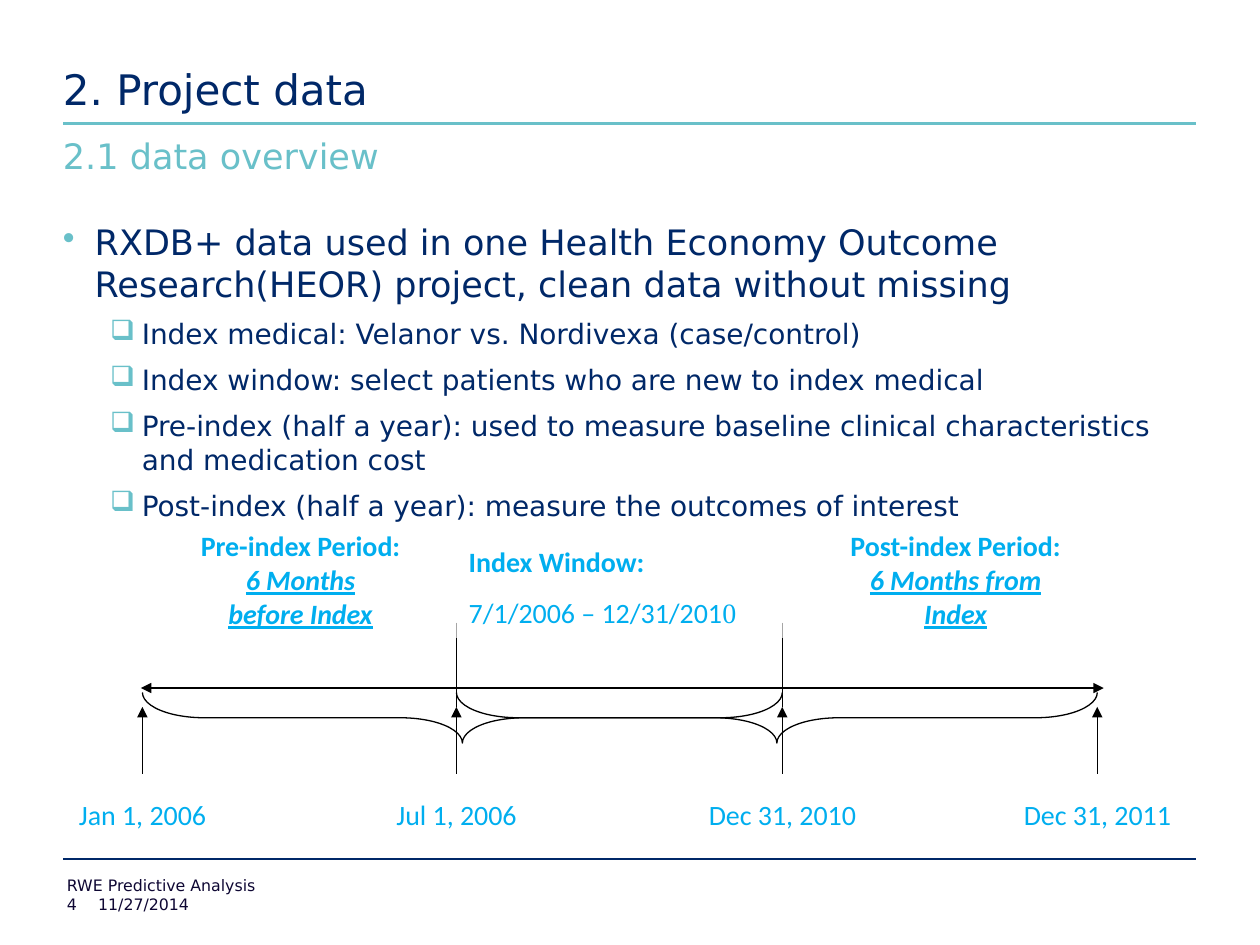
from dataclasses import dataclass

import pptx
import pptx.dml.color
import pptx.enum.shapes
import pptx.enum.text
import pptx.oxml.ns
import pptx.util
from lxml import etree

Cm, Pt = pptx.util.Cm, pptx.util.Pt
RGBColor = pptx.dml.color.RGBColor
Align = pptx.enum.text.PP_ALIGN
Anchor = pptx.enum.text.MSO_ANCHOR
Preset = pptx.enum.shapes.MSO_SHAPE

NAVY = RGBColor(0x00, 0x28, 0x68)
TEAL = RGBColor(0x69, 0xC0, 0xC9)
INK = RGBColor(0x0E, 0x07, 0x33)
SKY = RGBColor(0x00, 0xAE, 0xEF)
BLACK = RGBColor(0, 0, 0)
WHITE = RGBColor(0xFF, 0xFF, 0xFF)

SANS = "DejaVu Sans"
TITLE = {"name": SANS, "size": Pt(24), "color": NAVY}
SUBTITLE = {"name": SANS, "size": Pt(20), "color": TEAL}
BODY = {"name": SANS, "size": Pt(20), "color": NAVY}
DETAIL = BODY | {"size": Pt(16)}
FOOTER = {"name": SANS, "size": Pt(9), "color": INK}
LABEL = {"name": "Calibri", "size": Pt(16), "color": SKY}
HEADING = LABEL | {"bold": True}
EMPHASIS = HEADING | {"italic": True, "underline": True}
BREAK = ("\n", {})


@dataclass
class Box:
    """Position and size in centimetres."""
    left: float
    top: float
    width: float
    height: float

    def lengths(self) -> list:
        return [Cm(value) for value in (self.left, self.top, self.width, self.height)]


@dataclass
class Line:
    """End points in centimetres, with optional arrowheads."""
    x1: float
    y1: float
    x2: float
    y2: float
    color: RGBColor = BLACK
    width: float = 0.75
    arrows: tuple = ()


@dataclass
class Bullet:
    symbol: str
    margin: float
    text: str
    text_format: dict
    space_before: float


def add_run(paragraph, text: str, text_format: dict) -> None:
    run = paragraph.add_run()
    run.text = text
    for name, value in text_format.items():
        if name == "color":
            run.font.color.rgb = value
        else:
            setattr(run.font, name, value)


def add_xml(parent, tag: str, **attributes):
    return etree.SubElement(parent, pptx.oxml.ns.qn(tag), attributes)


def draw_line(slide, line: Line) -> None:
    connector = slide.shapes.add_connector(
        pptx.enum.shapes.MSO_CONNECTOR.STRAIGHT,
        Cm(line.x1), Cm(line.y1), Cm(line.x2), Cm(line.y2))
    connector.line.color.rgb = line.color
    connector.line.width = Pt(line.width)
    for end in line.arrows:
        add_xml(connector.line._get_or_add_ln(), f"a:{end}", type="triangle")
    add_xml(connector._element.spPr, "a:effectLst")


def add_text_frame(slide, box: Box, anchor=Anchor.TOP):
    frame = slide.shapes.add_textbox(*box.lengths()).text_frame
    margins = dict.fromkeys(("margin_left", "margin_right", "margin_top", "margin_bottom"), 0)
    for name, value in ({"word_wrap": True, "vertical_anchor": anchor} | margins).items():
        setattr(frame, name, value)
    return frame


def draw_text(slide, box: Box, text: str, text_format: dict, anchor=Anchor.TOP) -> None:
    add_run(add_text_frame(slide, box, anchor).paragraphs[0], text, text_format)


def draw_bullets(slide, box: Box, bullets: list[Bullet]) -> None:
    frame = add_text_frame(slide, box)
    for index, bullet in enumerate(bullets):
        paragraph = frame.add_paragraph() if index else frame.paragraphs[0]
        properties = paragraph._p.get_or_add_pPr()
        properties.set("marL", str(Cm(bullet.margin)))
        properties.set("indent", str(-Cm(0.64)))
        paragraph.space_before = Pt(bullet.space_before)
        add_xml(add_xml(properties, "a:buClr"), "a:srgbClr", val=str(TEAL))
        add_xml(properties, "a:buChar", char=bullet.symbol)
        add_run(paragraph, bullet.text, bullet.text_format)


def draw_label(slide, box: Box, paragraphs: list, alignment=Align.CENTER) -> None:
    shape = slide.shapes.add_shape(Preset.RECTANGLE, *box.lengths())
    shape.shadow.inherit = False
    shape.fill.solid()
    shape.fill.fore_color.rgb = WHITE
    shape.line.fill.background()
    frame = shape.text_frame
    frame.word_wrap = True
    frame.vertical_anchor = Anchor.TOP
    for index, runs in enumerate(paragraphs):
        paragraph = frame.add_paragraph() if index else frame.paragraphs[0]
        paragraph.alignment = alignment
        paragraph.space_after = Pt(10)
        for run in runs:
            if run is BREAK:
                paragraph.add_line_break()
            else:
                add_run(paragraph, *run)


def draw_brace(slide, start: float, end: float, middle_y: float) -> None:
    depth, length = 1.02, end - start
    box = Box((start + end - depth) / 2, middle_y - length / 2, depth, length)
    brace = slide.shapes.add_shape(Preset.RIGHT_BRACE, *box.lengths())
    brace.rotation = 90
    brace.adjustments[0] = 1.22
    brace.shadow.inherit = False
    brace.fill.background()
    brace.line.color.rgb = BLACK
    brace.line.width = Pt(0.75)


def draw_timeline(slide) -> None:
    dates = {"Jan 1, 2006": 2.87, "Jul 1, 2006": 9.2,
             "Dec 31, 2010": 15.77, "Dec 31, 2011": 22.12}
    marks = list(dates.values())
    tick_end = 14.25

    # Dates, axis and window limits
    for date, x in dates.items():
        draw_label(slide, Box(x - 1.9, 15.95, 3.81, 0.91), [[(date, LABEL)]])
    draw_line(slide, Line(2.84, 13.87, 22.25, 13.87, arrows=("headEnd", "tailEnd")))
    for x in marks[1:3]:
        draw_line(slide, Line(x, 12.55, x, tick_end))

    # Each brace spans two neighbouring periods
    for start, end in zip(marks, marks[2:]):
        draw_brace(slide, start, end, 14.47)

    # Period labels and date arrows
    draw_label(slide, Box(16.56, 10.54, 5.41, 2.69), [[
        ("Post-index Period:", HEADING), BREAK,
        ("6 Months from", EMPHASIS), BREAK, ("Index", EMPHASIS)]])
    for x in marks:
        draw_line(slide, Line(x, 15.6, x, tick_end, arrows=("tailEnd",)))
    draw_label(slide, Box(3.71, 10.54, 4.7, 2.62), [[
        ("Pre-index Period:", HEADING), BREAK,
        ("6 Months", EMPHASIS), BREAK, ("before Index", EMPHASIS)]])
    draw_label(slide, Box(9.2, 10.85, 6.58, 2.01), [
        [("Index Window:", HEADING)],
        [("7/1/2006 – 12/31/201", LABEL), ("0", LABEL | {"name": "Times New Roman"})],
    ], Align.LEFT)


def main() -> None:
    presentation = pptx.Presentation()
    presentation.slide_width, presentation.slide_height = Cm(25.4), Cm(19.05)
    slide = presentation.slides.add_slide(presentation.slide_layouts[6])

    # Rules, title and subtitle
    for y, color in ((2.49, TEAL), (17.32, NAVY)):
        draw_line(slide, Line(1.27, y, 24.1, y, color, 1.5))
    draw_text(slide, Box(1.27, 0, 22.86, 2.29), "2. Project data", TITLE, Anchor.BOTTOM)
    draw_text(slide, Box(1.27, 2.72, 22.86, 1.24), "2.1 data overview", SUBTITLE)

    # Body
    details = (
        "Index medical: Velanor vs. Nordivexa (case/control)",
        "Index window: select patients who are new to index medical",
        "Pre-index (half a year): used to measure baseline clinical characteristics "
        "and medication cost",
        "Post-index (half a year): measure the outcomes of interest",
    )
    main_point = ("RXDB+ data used in one Health Economy Outcome Research(HEOR) project, "
                  "clean data without missing")
    draw_bullets(slide, Box(1.27, 4.45, 22.86, 12.19), [
        Bullet("•", 0.64, main_point, BODY, 0),
        *(Bullet("❑", 1.59, text, DETAIL, 7) for text in details)])

    # Footer
    draw_text(slide, Box(1.98, 18.03, 18.42, 0.38), "11/27/2014", FOOTER)
    draw_text(slide, Box(1.35, 17.65, 19.05, 0.38), "RWE Predictive Analysis", FOOTER)
    draw_text(slide, Box(1.35, 18.03, 0.64, 0.38), "4", FOOTER)

    draw_timeline(slide)
    presentation.save("out.pptx")


if __name__ == "__main__":
    main()
